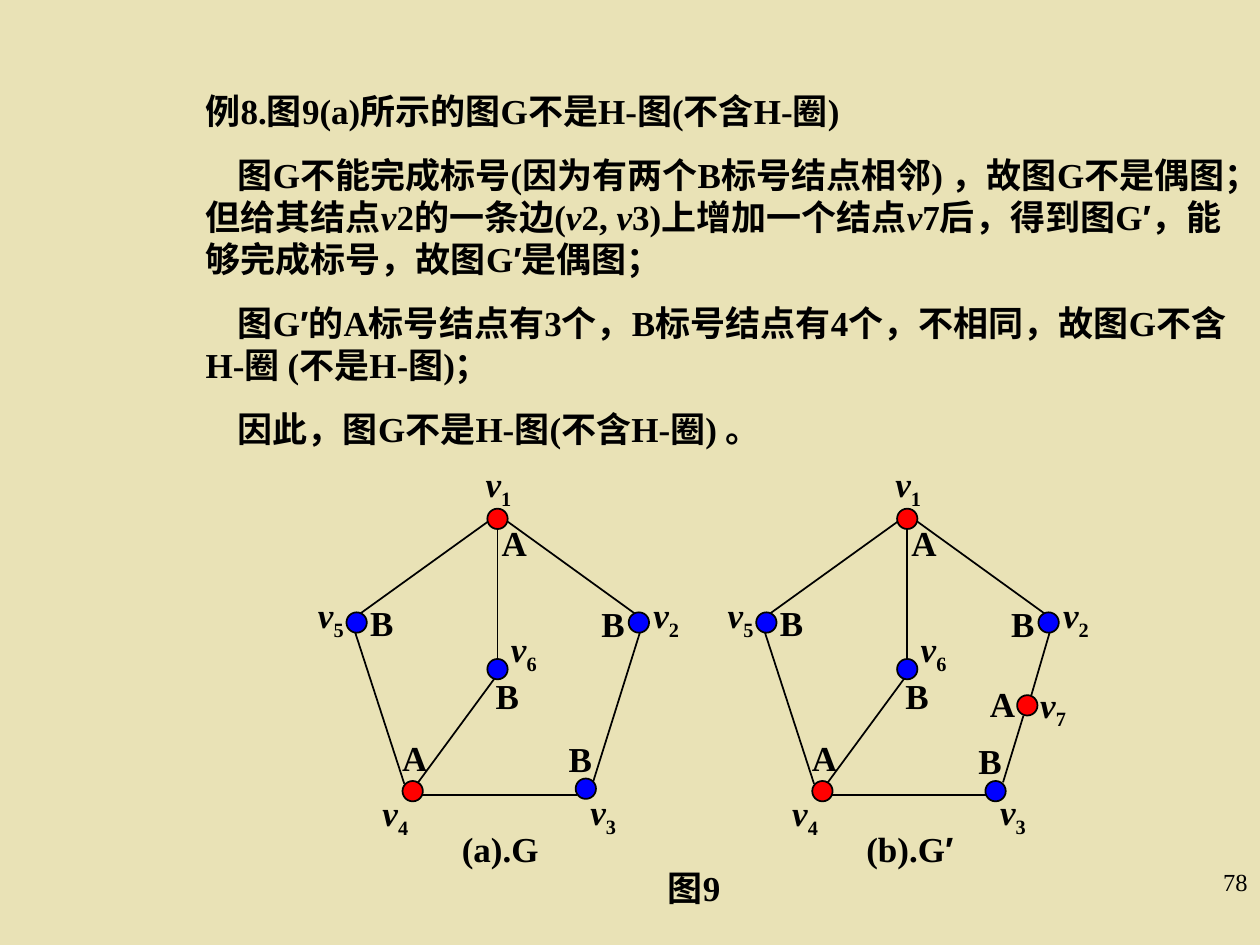
from dataclasses import dataclass
from itertools import groupby

from lxml.etree import SubElement
from pptx import Presentation
from pptx.dml.color import RGBColor
from pptx.enum.shapes import MSO_CONNECTOR as Connector, MSO_SHAPE as Preset
from pptx.enum.text import MSO_ANCHOR as Anchor, MSO_AUTO_SIZE as AutoSize, PP_ALIGN as Align
from pptx.oxml.ns import qn
from pptx.util import Cm, Pt

BACKGROUND, BLACK = "E9E2B6", "000000"
LABEL_COLORS = {"A": "FF0000", "B": "0000FF"}
DIAMETER = 0.41
FIGURE_STEP = 8.26
Point = tuple[float, float]


@dataclass
class Vertex:
    number: str
    label: str
    center: Point
    name_at: Point
    label_at: Point


@dataclass
class Edge:
    start: Point
    end: Point


@dataclass
class Figure:
    caption: str
    left: float
    vertices: list[Vertex]
    edges: list[Edge]


SHARED_VERTICES = [
    Vertex("1", "A", (10.03, 10.46), (9.73, 9.32), (10.05, 10.52)),
    Vertex("2", "B", (12.88, 12.55), (13.11, 11.96), (12.04, 12.15)),
    Vertex("4", "A", (8.32, 15.95), (7.65, 15.95), (8.04, 14.85)),
    Vertex("5", "B", (7.19, 12.55), (6.35, 11.96), (7.38, 12.13)),
    Vertex("6", "B", (10.03, 13.49), (10.24, 12.65), (9.91, 13.6)),
]
SHARED_EDGES = [
    Edge((9.83, 10.52), (7.26, 12.37)),
    Edge((10.24, 10.52), (12.8, 12.37)),
    Edge((8.51, 16.03), (11.63, 16.03)),
    Edge((7.16, 12.75), (8.15, 15.8)),
    Edge((10.03, 10.67), (10.03, 13.31)),
    Edge((8.43, 15.77), (9.96, 13.69)),
]
FIGURES = [
    Figure(
        "(a).G", 0,
        SHARED_VERTICES + [Vertex("3", "B", (11.81, 15.9), (11.84, 15.93), (11.38, 14.88))],
        SHARED_EDGES + [Edge((12.9, 12.75), (11.96, 15.75))],
    ),
    Figure(
        "(b).G′", FIGURE_STEP,
        SHARED_VERTICES + [
            Vertex("3", "B", (11.81, 15.95), (11.84, 15.93), (11.38, 14.91)),
            Vertex("7", "A", (12.45, 14.22), (12.65, 13.77), (11.63, 13.77)),
        ],
        SHARED_EDGES + [
            Edge((12.9, 12.75), (12.52, 14.05)),
            Edge((12.37, 14.43), (11.96, 15.77)),
        ],
    ),
]
EXAMPLE = [
    "例8.图9(a)所示的图G不是H-图(不含H-圈)",
    "图G不能完成标号(因为有两个B标号结点相邻) ，故图G不是偶图；但给其结点v2的一条边"
    "(v2, v3)上增加一个结点v7后，得到图G′，能够完成标号，故图G′是偶图；",
    "图G′的A标号结点有3个，B标号结点有4个，不相同，故图G不含H-圈 (不是H-图)；",
    "因此，图G不是H-图(不含H-圈) 。",
]


def color(value: str) -> RGBColor:
    return RGBColor.from_string(value)


def write(paragraph, text: str, size: float = 20, bold: bool = True) -> None:
    """Add text with v in italics and the prime sign in Arial."""
    for special, letters in groupby(text, lambda letter: letter if letter in "v′" else ""):
        run = paragraph.add_run()
        run.text = "".join(letters)
        font = run.font
        font.name = "Arial" if special == "′" else "Times New Roman"
        font.size, font.bold, font.italic = Pt(size), bold, special == "v"
        font.color.rgb = color(BLACK)


def add_label(slide, text: str, at: Point, width: float, height: float = 0.84):
    box = slide.shapes.add_textbox(Cm(at[0]), Cm(at[1]), Cm(width), Cm(height))
    frame = box.text_frame
    frame.word_wrap = True
    frame.vertical_anchor = Anchor.MIDDLE
    frame.margin_left = frame.margin_right = frame.margin_top = frame.margin_bottom = 0
    paragraph = frame.paragraphs[0]
    paragraph.alignment = Align.CENTER
    write(paragraph, text)
    return paragraph


def draw_edge(slide, edge: Edge, left: float) -> None:
    line = slide.shapes.add_connector(
        Connector.STRAIGHT,
        Cm(edge.start[0] + left), Cm(edge.start[1]), Cm(edge.end[0] + left), Cm(edge.end[1]),
    )
    line.line.color.rgb = color(BLACK)
    line.line.width = Pt(1)
    SubElement(line._element.spPr, qn("a:effectLst"))


def draw_vertex(slide, vertex: Vertex, left: float) -> None:
    x, y = vertex.center
    dot = slide.shapes.add_shape(
        Preset.OVAL, Cm(x + left - DIAMETER / 2), Cm(y - DIAMETER / 2), Cm(DIAMETER), Cm(DIAMETER)
    )
    dot.shadow.inherit = False
    dot.fill.solid()
    dot.fill.fore_color.rgb = color(LABEL_COLORS[vertex.label])
    dot.line.color.rgb = color(BLACK)
    dot.line.width = Pt(1)
    name_x, name_y = vertex.name_at
    name = add_label(slide, "v", (name_x + left, name_y), 0.64, 0.97)
    write(name, vertex.number)
    name.runs[-1].font._element.set("baseline", "-25000")
    label_x, label_y = vertex.label_at
    add_label(slide, vertex.label, (label_x + left, label_y), 0.64)


def draw_figure(slide, figure: Figure) -> None:
    for edge in figure.edges:
        draw_edge(slide, edge, figure.left)
    for vertex in figure.vertices:
        draw_vertex(slide, vertex, figure.left)
    add_label(slide, figure.caption, (8.46 + figure.left, 16.69), 3.25)


def fill_body(body) -> None:
    body.left, body.top, body.width, body.height = Cm(3.89), Cm(1.68), Cm(21.51), Cm(7.52)
    frame = body.text_frame
    frame.word_wrap = True
    frame.auto_size = AutoSize.NONE
    frame.vertical_anchor = Anchor.TOP
    for index, text in enumerate(EXAMPLE):
        paragraph = frame.add_paragraph() if index else frame.paragraphs[0]
        paragraph.space_before = Pt(12.5 if index else 0)
        properties = paragraph._p.get_or_add_pPr()
        properties.set("marL", "0")
        properties.set("indent", str(Cm(0.65) if index else 0))
        SubElement(properties, qn("a:buNone"))
        write(paragraph, text)


def add_page_number(slide, number: str) -> None:
    box = slide.shapes.add_textbox(Cm(20.12), Cm(17.35), Cm(5.28), Cm(1.27))
    box.text_frame.word_wrap = True
    paragraph = box.text_frame.paragraphs[0]
    paragraph.alignment = Align.RIGHT
    write(paragraph, number, size=14, bold=False)


def main() -> None:
    presentation = Presentation()
    presentation.slide_width, presentation.slide_height = Cm(25.4), Cm(19.05)
    slide = presentation.slides.add_slide(presentation.slide_layouts[1])
    slide.background.fill.solid()
    slide.background.fill.fore_color.rgb = color(BACKGROUND)
    title = slide.shapes.title._element
    title.getparent().remove(title)
    fill_body(slide.placeholders[1])
    for figure in FIGURES:
        draw_figure(slide, figure)
    add_label(slide, "图9", (12.37, 17.48), 3.25)
    add_page_number(slide, "78")
    presentation.save("out.pptx")


if __name__ == "__main__":
    main()
